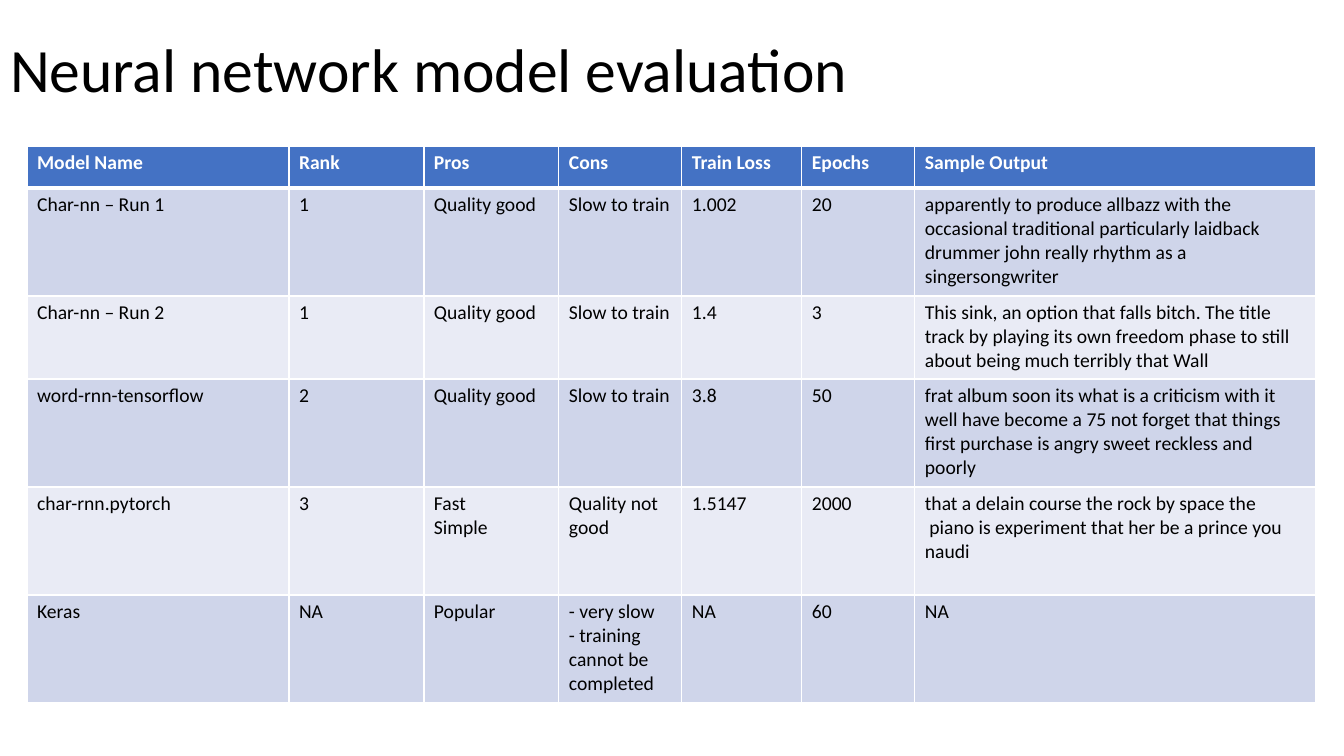
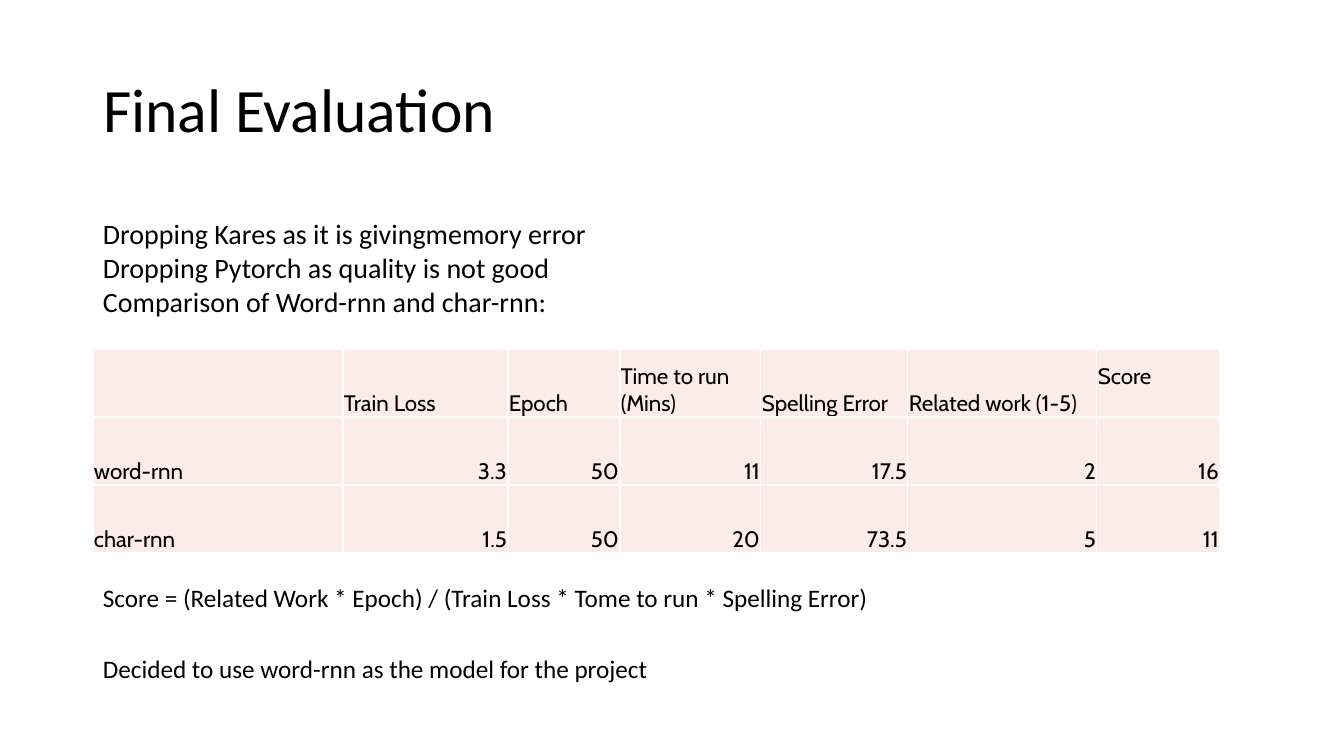
from dataclasses import dataclass
from lxml.etree import SubElement
from pptx import Presentation
from pptx.dml.color import RGBColor
from pptx.enum.text import MSO_ANCHOR, MSO_AUTO_SIZE, PP_ALIGN
from pptx.oxml.ns import qn
from pptx.util import Emu, Pt

PIXEL = 914400 / 100.8


def px(pixels):
    return Emu(round(pixels * PIXEL))


@dataclass(frozen=True)
class Theme:
    font: str = "Calibri"
    score_font: str = "Cabin"
    ink: str = "000000"
    white: str = "FFFFFF"
    header: str = "4472C4"
    bands: tuple = ("CFD5EA", "E9EBF5")
    score_fill: str = "FCECE8"
    title_size: int = 44
    list_size: int = 20
    note_size: int = 18
    score_size: int = 16
    table_size: int = 14
    rule: int = 1
    header_rule: int = 3


class Deck:
    def __init__(self, theme):
        self.theme = theme
        self.presentation = Presentation()
        self.presentation.slide_width = px(1344)
        self.presentation.slide_height = px(756)
        self.slide = None

    def format_text(self, frame, size, color=None, font=None, bold=False, align=PP_ALIGN.LEFT):
        for paragraph in frame.paragraphs:
            paragraph.alignment = align
            for run in paragraph.runs:
                run.font.name = font or self.theme.font
                run.font.size = Pt(size)
                run.font.bold = bold
                run.font.color.rgb = RGBColor.from_string(color or self.theme.ink)

    def add_slide(self, title, left, top):
        layout = self.presentation.slide_layouts.get_by_name("Title Only")
        self.slide = self.presentation.slides.add_slide(layout)
        shape = self.slide.shapes.title
        shape.left, shape.top, shape.width, shape.height = map(px, (left, top, 1159, 146))
        frame = shape.text_frame
        frame.text = title
        frame.word_wrap = True
        frame.auto_size = MSO_AUTO_SIZE.NONE
        frame.vertical_anchor = MSO_ANCHOR.MIDDLE
        frame.paragraphs[0].line_spacing = 0.9
        self.format_text(frame, self.theme.title_size)

    def add_text(self, text, left, top, width, height, size, wrap=True):
        frame = self.slide.shapes.add_textbox(*map(px, (left, top, width, height))).text_frame
        frame.text = text
        frame.word_wrap = wrap
        self.format_text(frame, size)

    def add_table(self, rows, left, top, widths, heights):
        frame = self.slide.shapes.add_table(
            len(rows), len(widths), *map(px, (left, top, sum(widths), sum(heights))))
        table = frame.table
        table.horz_banding = False
        for column, width in zip(table.columns, widths):
            column.width = px(width)
        for row, height in zip(table.rows, heights):
            row.height = px(height)
        for row, texts in zip(table.rows, rows):
            for cell, text in zip(row.cells, texts):
                cell.text_frame.text = text
        return table

    def style_cell(self, cell, fill, top_rule=None, bottom_rule=None):
        rule = self.theme.rule
        widths = {"L": rule, "R": rule, "T": top_rule or rule, "B": bottom_rule or rule}
        properties = cell._tc.get_or_add_tcPr()
        for side, width in widths.items():
            line = SubElement(properties, qn(f"a:ln{side}"), w=str(Pt(width)))
            solid = SubElement(line, qn("a:solidFill"))
            SubElement(solid, qn("a:srgbClr"), val=self.theme.white)
        cell.fill.solid()
        cell.fill.fore_color.rgb = RGBColor.from_string(fill)

    def add_banded_table(self, rows, left, top, widths, heights):
        theme = self.theme
        table = self.add_table(rows, left, top, widths, heights)
        for index, row in enumerate(table.rows):
            is_header = index == 0
            fill = theme.header if is_header else theme.bands[(index - 1) % 2]
            for cell in row.cells:
                self.style_cell(cell, fill,
                                top_rule=theme.header_rule if index == 1 else None,
                                bottom_rule=theme.header_rule if is_header else None)
                self.format_text(cell.text_frame, theme.table_size,
                                 theme.white if is_header else theme.ink, bold=is_header)

    def add_score_table(self, rows, left, top, widths, heights):
        theme = self.theme
        table = self.add_table(rows, left, top, widths, heights)
        for row_index, row in enumerate(table.rows):
            for column_index, cell in enumerate(row.cells):
                is_number = row_index and column_index
                self.style_cell(cell, theme.score_fill)
                cell.vertical_anchor = MSO_ANCHOR.BOTTOM
                cell.margin_left = cell.margin_right = cell.margin_top = px(1)
                cell.margin_bottom = px(0)
                self.format_text(cell.text_frame, theme.score_size, font=theme.score_font,
                                 align=PP_ALIGN.RIGHT if is_number else PP_ALIGN.LEFT)
        return table


theme = Theme()
deck = Deck(theme)

# Model comparison
MODELS = [
    ("Model Name", "Rank", "Pros", "Cons", "Train Loss", "Epochs", "Sample Output"),
    ("Char-nn – Run 1", "1", "Quality good", "Slow to train", "1.002", "20",
     "apparently to produce allbazz with the occasional traditional particularly "
     "laidback drummer john really rhythm as a singersongwriter"),
    ("Char-nn – Run 2", "1", "Quality good", "Slow to train", "1.4", "3",
     "This sink, an option that falls bitch. The title track by playing its own "
     "freedom phase to still about being much terribly that Wall"),
    ("word-rnn-tensorflow", "2", "Quality good", "Slow to train", "3.8", "50",
     "frat album soon its what is a criticism with it well have become a 75 not "
     "forget that things first purchase is angry sweet reckless and poorly"),
    ("char-rnn.pytorch", "3", "Fast\nSimple", "Quality not good", "1.5147", "2000",
     "that a delain course the rock by space the\n"
     " piano is experiment that her be a prince you naudi"),
    ("Keras", "NA", "Popular", "- very slow\n- training cannot be completed", "NA", "60", "NA"),
]
deck.add_slide("Neural network model evaluation", 0, 0)
deck.add_banded_table(MODELS, 27, 146, (262, 135, 135, 123, 120, 113, 401),
                      (42, 108, 83, 108, 108, 108))

# Final scores
SCORES = [
    ("", "Train Loss", "Epoch", "Time to run\n(Mins)", "Spelling Error",
     "Related work (1-5)", "Score"),
    ("word-rnn", "3.3", "50", "11", "17.5", "2", "16"),
    ("char-rnn", "1.5", "50", "20", "73.5", "5", "11"),
]
deck.add_slide("Final Evaluation", 93, 40)
score_table = deck.add_score_table(SCORES, 93, 349, (250, 165, 112, 141, 147, 189, 123),
                                   [68] * len(SCORES))
score_table.cell(0, 6).margin_bottom = px(27)

# Reasons and conclusion
deck.add_text("Dropping Kares as it is givingmemory error\n"
              "Dropping Pytorch as quality is not good\n"
              "Comparison of Word-rnn and char-rnn:", 93, 212, 826, 112, theme.list_size)
deck.add_text("Score = (Related Work * Epoch) / (Train Loss * Tome to run * Spelling Error)",
              93, 577, 795, 40, theme.note_size, wrap=False)
deck.add_text("Decided to use word-rnn as the model for the project",
              93, 648, 678, 40, theme.note_size)

deck.presentation.save("out.pptx")
